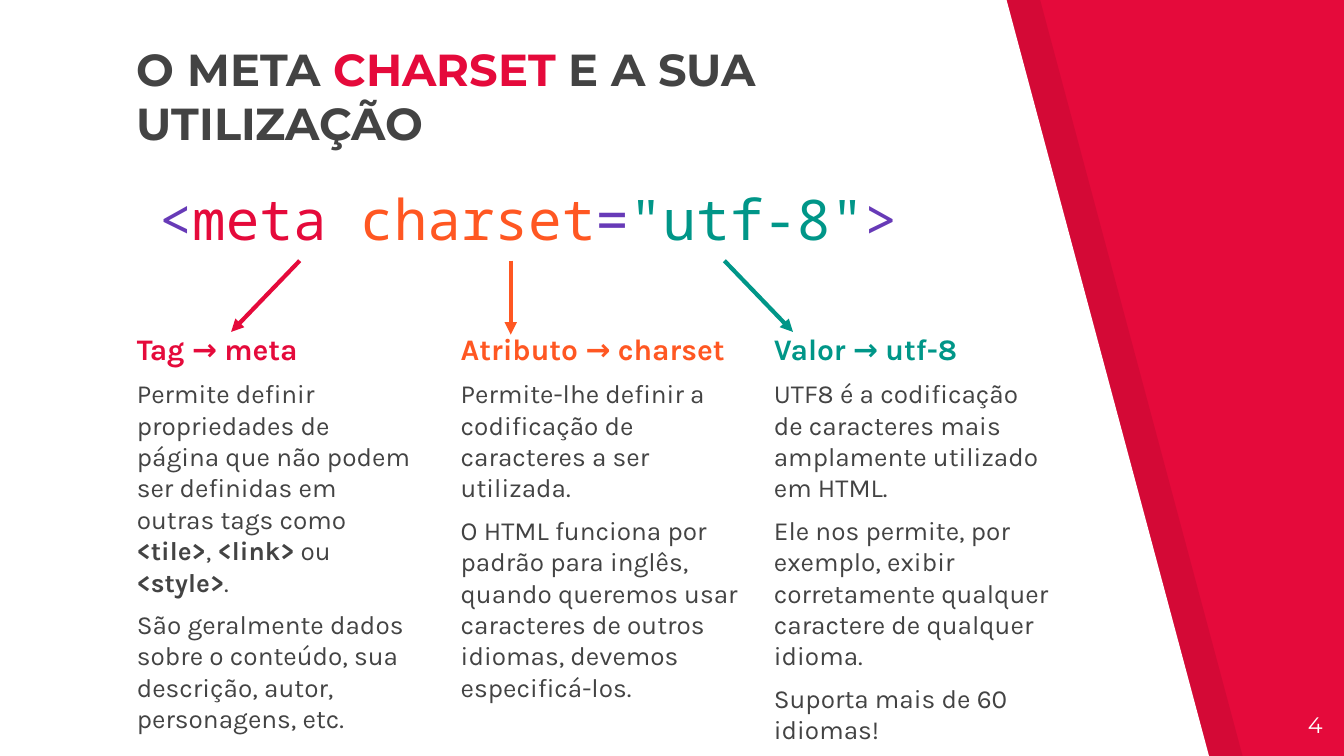
from dataclasses import dataclass

from lxml.etree import SubElement
from pptx import Presentation
from pptx.dml.color import RGBColor
from pptx.enum.shapes import MSO_CONNECTOR as Connector
from pptx.enum.text import MSO_ANCHOR as Anchor, PP_ALIGN as Align
from pptx.oxml.ns import qn
from pptx.util import Inches, Pt


@dataclass(frozen=True)
class Theme:
    red: str = "E50A3B"
    orange: str = "FF5722"
    teal: str = "009688"
    purple: str = "673AB7"
    ink: str = "434343"
    white: str = "FFFFFF"
    black: str = "000000"
    title_font: str = "Montserrat"
    body_font: str = "Karla"
    code_font: str = "Noto Sans Mono"
    title_size: int = 24
    code_size: int = 30
    heading_size: int = 16
    body_size: int = 14
    number_size: int = 12
    arrow_width: float = 2.25
    paragraph_gap: int = 6


THEME = Theme()


def styled(text, font=THEME.body_font, size=THEME.body_size, color=THEME.ink, bold=False):
    """Return a piece of text together with its format."""
    return text, font, size, color, bold


class SlideBuilder:
    def __init__(self, slide, theme):
        self.slide = slide
        self.theme = theme

    def background(self, color):
        fill = self.slide.background.fill
        fill.solid()
        fill.fore_color.rgb = RGBColor.from_string(color)

    def polygon(self, points, color, opacity=None):
        corners = [(Inches(x), Inches(y)) for x, y in points]
        outline = self.slide.shapes.build_freeform(*corners[0])
        outline.add_line_segments(corners[1:], close=True)
        shape = outline.convert_to_shape()
        shape.shadow.inherit = False
        shape.line.fill.background()
        shape.fill.solid()
        shape.fill.fore_color.rgb = RGBColor.from_string(color)
        if opacity is not None:
            tint = shape.element.spPr.find(qn("a:solidFill"))[0]
            SubElement(tint, qn("a:alpha"), val=str(opacity * 1000))

    def text(self, box, paragraphs, align=Align.LEFT, anchor=Anchor.TOP, gap=0):
        frame = self.slide.shapes.add_textbox(*map(Inches, box)).text_frame
        frame.word_wrap = True
        frame.vertical_anchor = anchor
        frame.margin_left = frame.margin_right = Inches(0.1)
        frame.margin_top = frame.margin_bottom = Inches(0.1)
        for index, pieces in enumerate(paragraphs):
            paragraph = frame.add_paragraph() if index else frame.paragraphs[0]
            paragraph.alignment = align
            paragraph.space_before = Pt(gap)
            for text, font, size, color, bold in pieces:
                run = paragraph.add_run()
                run.text = text
                run.font.name = font
                run.font.size = Pt(size)
                run.font.bold = bold
                run.font.color.rgb = RGBColor.from_string(color)

    def arrow(self, start, end, color):
        line = self.slide.shapes.add_connector(
            Connector.STRAIGHT, *map(Inches, (*start, *end)))
        line.line.color.rgb = RGBColor.from_string(color)
        line.line.width = Pt(self.theme.arrow_width)
        properties = line.element.spPr
        SubElement(properties.find(qn("a:ln")), qn("a:tailEnd"), type="triangle")
        SubElement(properties, qn("a:effectLst"))

    def column(self, left, heading, color, body):
        title = styled(heading, size=self.theme.heading_size, color=color, bold=True)
        self.text((left, 2.36, 2.27, 2.78), [[title], *body],
                  gap=self.theme.paragraph_gap)


def main():
    # Widescreen 16:9 slide
    deck = Presentation()
    deck.slide_width = Inches(10)
    deck.slide_height = deck.slide_width * 9 // 16
    page = SlideBuilder(deck.slides.add_slide(deck.slide_layouts[6]), THEME)

    # Slanted white panel over its darker edge
    page.background(THEME.red)
    panel = [(0, -0.01), (0, 5.64), (9, 5.64), (7.49, 0)]
    for offset, color, opacity in ((0.25, THEME.black, 7), (0, THEME.white, None)):
        page.polygon([(x + offset, y) for x, y in panel], color, opacity)

    # Slide number
    page.text((9.34, 5.19, 0.6, 0.43),
              [[styled("4", font=THEME.title_font, size=THEME.number_size,
                       color=THEME.white)]], align=Align.RIGHT)

    # Title
    title = [("O META ", THEME.ink), ("CHARSET ", THEME.red),
             ("E A SUA UTILIZAÇÃO", THEME.ink)]
    page.text((0.92, 0.76, 6.48, 0.45),
              [[styled(words, font=THEME.title_font, size=THEME.title_size,
                       color=color, bold=True) for words, color in title]],
              anchor=Anchor.BOTTOM)

    # Code line
    code = [("<", THEME.purple), ("meta ", THEME.red), ("charset", THEME.orange),
            ("=", THEME.purple), ('"utf-8"', THEME.teal), (">", THEME.purple)]
    page.text((0.92, 1.27, 6.02, 1.09),
              [[styled(token, font=THEME.code_font, size=THEME.code_size, color=color)
                for token, color in code]], align=Align.CENTER)

    # Explanations: left edge, heading, colour, paragraphs
    tag_body = [
        [styled("Permite definir propriedades de página que não podem ser "
                "definidas em outras tags como "),
         styled("<tile>", bold=True), styled(","), styled(" <link>", bold=True),
         styled(" ou "), styled("<style>", bold=True), styled(".")],
        [styled("São geralmente dados sobre o conteúdo, sua descrição, autor, "
                "personagens, etc.")],
    ]
    attribute_body = [
        [styled("Permite-lhe definir a codificação de caracteres a ser utilizada.")],
        [styled("O HTML funciona por padrão para inglês, quando queremos usar "
                "caracteres de outros idiomas, devemos especificá-los.")],
    ]
    value_body = [
        [styled("UTF8 é a codificação de caracteres mais amplamente utilizado em HTML.")],
        [styled("Ele nos permite, por exemplo, exibir corretamente qualquer "
                "caractere de qualquer idioma.")],
        [styled("Suporta mais de 60 idiomas!")],
    ]
    page.column(0.92, "Tag → meta", THEME.red, tag_body)
    page.column(3.33, "Atributo → charset", THEME.orange, attribute_body)
    page.column(5.66, "Valor → utf-8", THEME.teal, value_body)

    # Arrows from the code to the explanations
    for start_x, end_x, end_y, color in ((2.23, 1.72, 2.47, THEME.red),
                                         (3.8, 3.8, 2.49, THEME.orange),
                                         (5.39, 5.9, 2.47, THEME.teal)):
        page.arrow((start_x, 1.94), (end_x, end_y), color)

    deck.save("out.pptx")


if __name__ == "__main__":
    main()
